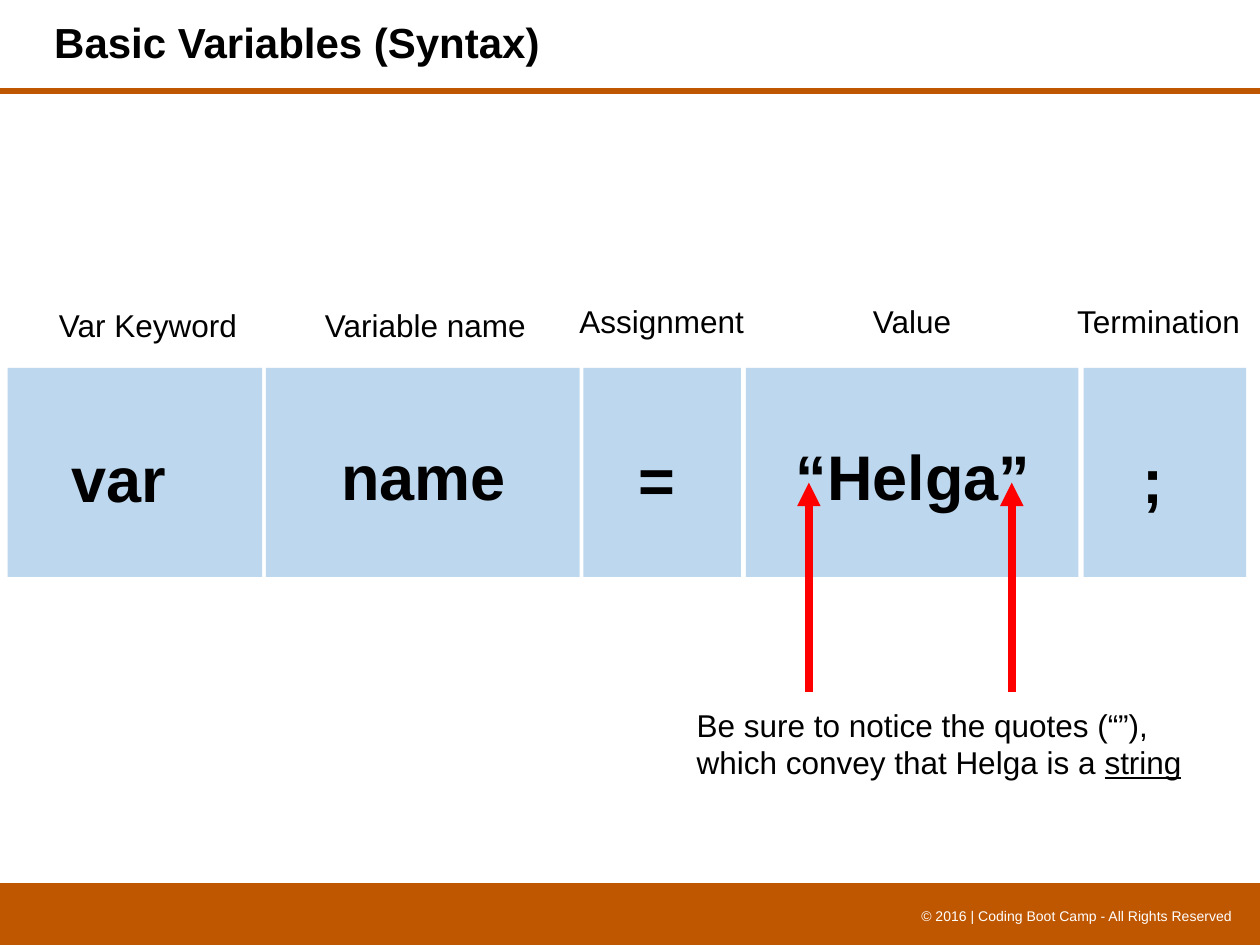
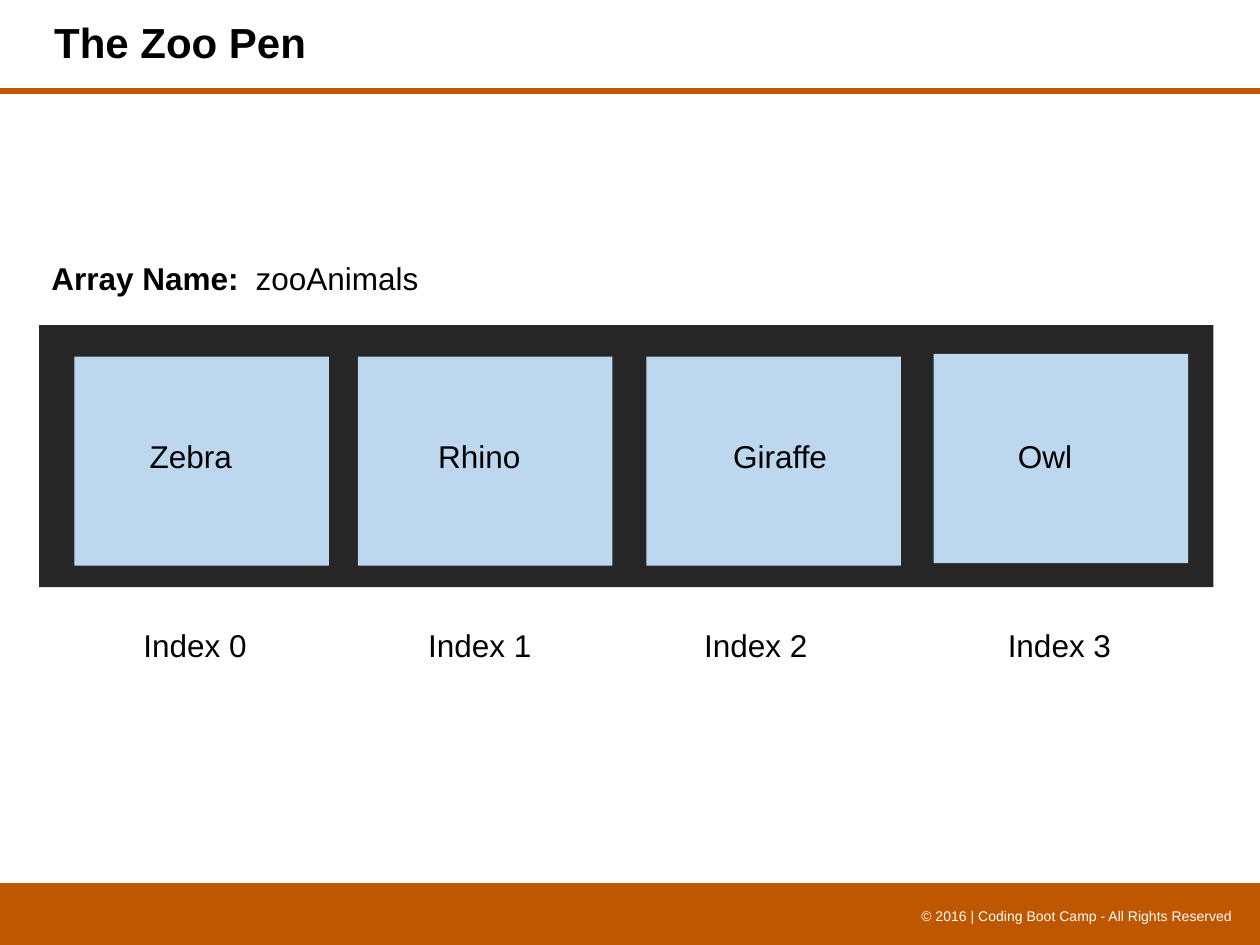
from dataclasses import dataclass

from lxml.etree import SubElement
from pptx import Presentation
from pptx.dml.color import RGBColor
from pptx.enum.shapes import MSO_CONNECTOR as Connector, MSO_SHAPE as Preset
from pptx.enum.text import MSO_ANCHOR as Anchor, MSO_AUTO_SIZE as AutoSize, PP_ALIGN as Align
from pptx.oxml.ns import qn
from pptx.slide import Slide
from pptx.util import Inches, Pt

ORANGE = RGBColor(0xBF, 0x57, 0x00)
PALE_BLUE = RGBColor(0xBD, 0xD7, 0xEE)
CHARCOAL = RGBColor(0x26, 0x26, 0x26)
RED = RGBColor(0xFF, 0x00, 0x00)
BLACK = RGBColor(0x00, 0x00, 0x00)
WHITE = RGBColor(0xFF, 0xFF, 0xFF)
FONT = "Arial"
TITLE_ONLY = 5
CELL_HEIGHT = 1.66
LABEL_HEIGHT = 0.4
CODE_HEIGHT = 0.71


@dataclass(frozen=True)
class Span:
    text: str
    bold: bool = False
    underline: bool = False


@dataclass(frozen=True)
class Label:
    text: str
    left: float
    top: float
    width: float


@dataclass(frozen=True)
class SyntaxPart:
    left: float
    width: float
    caption: Label
    code: Label
    align: Align = Align.LEFT


@dataclass(frozen=True)
class Pen:
    left: float
    top: float
    animal: Label
    index_left: float


SYNTAX_PARTS = [
    SyntaxPart(0.06, 2.02, Label("Var Keyword", 0.37, 2.38, 1.63), Label("var", 0.47, 3.44, 1.55)),
    SyntaxPart(2.11, 2.49, Label("Variable name", 2.48, 2.38, 1.81), Label("name", 2.61, 3.42, 2.09)),
    SyntaxPart(4.63, 1.25, Label("Assignment", 4.5, 2.35, 1.52), Label("=", 4.97, 3.45, 0.93)),
    SyntaxPart(5.92, 2.64, Label("Value", 6.83, 2.35, 0.83), Label("“Helga”", 6.12, 3.42, 2.25),
               Align.CENTER),
    SyntaxPart(8.6, 1.29, Label("Termination", 8.45, 2.35, 1.51), Label(";", 8.97, 3.45, 0.93)),
]
QUOTE_NOTE = [
    [Span("Be sure to notice the quotes (“”),")],
    [Span("which convey that Helga is a "), Span("string", underline=True)],
]
QUOTE_ARROWS = [6.42, 8.03]
PENS = [
    Pen(0.59, 2.83, Label("Zebra", 1.09, 3.42, 0.86), 1.04),
    Pen(2.84, 2.83, Label("Rhino", 3.38, 3.42, 0.86), 3.3),
    Pen(5.13, 2.83, Label("Giraffe", 5.72, 3.42, 0.95), 5.49),
    Pen(7.41, 2.81, Label("Owl", 7.98, 3.42, 0.64), 7.9),
]


def add_span(para, span: Span, size: float, color: RGBColor) -> None:
    run = para.add_run()
    run.text = span.text
    font = run.font
    font.name, font.size, font.bold = FONT, Pt(size), span.bold
    font.color.rgb = color
    if span.underline:
        font.underline = True


def add_text(page: Slide, left: float, top: float, width: float, height: float,
             lines: list[list[Span]], size: float = 18, color: RGBColor = BLACK,
             align: Align = Align.LEFT, wrap: bool = False, tab: float = 0) -> None:
    box = page.shapes.add_textbox(Inches(left), Inches(top), Inches(width), Inches(height))
    frame = box.text_frame
    frame.word_wrap = wrap
    for number, spans in enumerate(lines):
        para = frame.add_paragraph() if number else frame.paragraphs[0]
        para.alignment = align
        if tab:
            stops = SubElement(para._p.get_or_add_pPr(), qn("a:tabLst"))
            SubElement(stops, qn("a:tab"), pos=str(Inches(tab)), algn="l")
        for span in spans:
            add_span(para, span, size, color)


def add_label(page: Slide, label: Label) -> None:
    add_text(page, label.left, label.top, label.width, LABEL_HEIGHT, [[Span(label.text)]])


def add_block(page: Slide, left: float, top: float, width: float, height: float,
              color: RGBColor, preset: Preset = Preset.RECTANGLE) -> None:
    block = page.shapes.add_shape(preset, Inches(left), Inches(top), Inches(width), Inches(height))
    block.shadow.inherit = False
    block.fill.solid()
    block.fill.fore_color.rgb = color
    block.line.fill.background()


def add_line(page: Slide, start: tuple[float, float], end: tuple[float, float],
             color: RGBColor, weight: float, arrow: bool = False) -> None:
    line = page.shapes.add_connector(Connector.STRAIGHT, *map(Inches, start + end))
    line.line.color.rgb = color
    line.line.width = Pt(weight)
    if arrow:
        SubElement(line.line._get_or_add_ln(), qn("a:tailEnd"), type="triangle")
    SubElement(line._element.spPr, qn("a:effectLst"))


def add_page(deck, title: str) -> Slide:
    page = deck.slides.add_slide(deck.slide_layouts[TITLE_ONLY])
    add_block(page, -0.01, 7.01, 10.01, 0.5, ORANGE, Preset.FLOWCHART_PROCESS)
    add_line(page, (0, 0.72), (10, 0.72), ORANGE, 3.25)
    add_text(page, 6.83, 7.15, 3.05, 0.24,
             [[Span("© 2016 | Coding Boot Camp - All Rights Reserved")]],
             size=8, color=WHITE, align=Align.RIGHT, wrap=True)
    heading = page.shapes.title
    heading.left, heading.top = Inches(0.33), Inches(0)
    heading.width, heading.height = Inches(5.98), Inches(0.72)
    frame = heading.text_frame
    frame.auto_size = AutoSize.NONE
    frame.vertical_anchor = Anchor.MIDDLE
    para = frame.paragraphs[0]
    para.alignment = Align.LEFT
    para.line_spacing = 0.9
    add_span(para, Span(title, bold=True), 24, BLACK)
    return page


def build_syntax_page(deck) -> None:
    page = add_page(deck, "Basic Variables (Syntax)")
    for part in SYNTAX_PARTS:
        add_block(page, part.left, 2.92, part.width, CELL_HEIGHT, PALE_BLUE)
    for part in SYNTAX_PARTS:
        code = part.code
        add_text(page, code.left, code.top, code.width, CODE_HEIGHT,
                 [[Span(code.text, bold=True)]], size=36, align=part.align, wrap=True)
        add_label(page, part.caption)
    add_text(page, 5.43, 5.55, 4.09, 0.71, QUOTE_NOTE)
    for x in QUOTE_ARROWS:
        add_line(page, (x, 5.49), (x, 3.83), RED, 4.5, arrow=True)


def build_zoo_page(deck) -> None:
    page = add_page(deck, "The Zoo Pen")
    add_text(page, 0.31, 2.01, 3.15, LABEL_HEIGHT,
             [[Span("Array Name:\t", bold=True), Span("zooAnimals")]], wrap=True, tab=1.62)
    add_block(page, 0.31, 2.58, 9.32, 2.08, CHARCOAL)
    for index, pen in enumerate(PENS):
        add_block(page, pen.left, pen.top, 2.02, CELL_HEIGHT, PALE_BLUE)
        add_label(page, pen.animal)
        add_label(page, Label(f"Index {index}", pen.index_left, 4.92, 1.03))


def main() -> None:
    deck = Presentation()
    deck.slide_width, deck.slide_height = Inches(10), Inches(7.5)
    build_syntax_page(deck)
    build_zoo_page(deck)
    deck.save("out.pptx")


if __name__ == "__main__":
    main()
